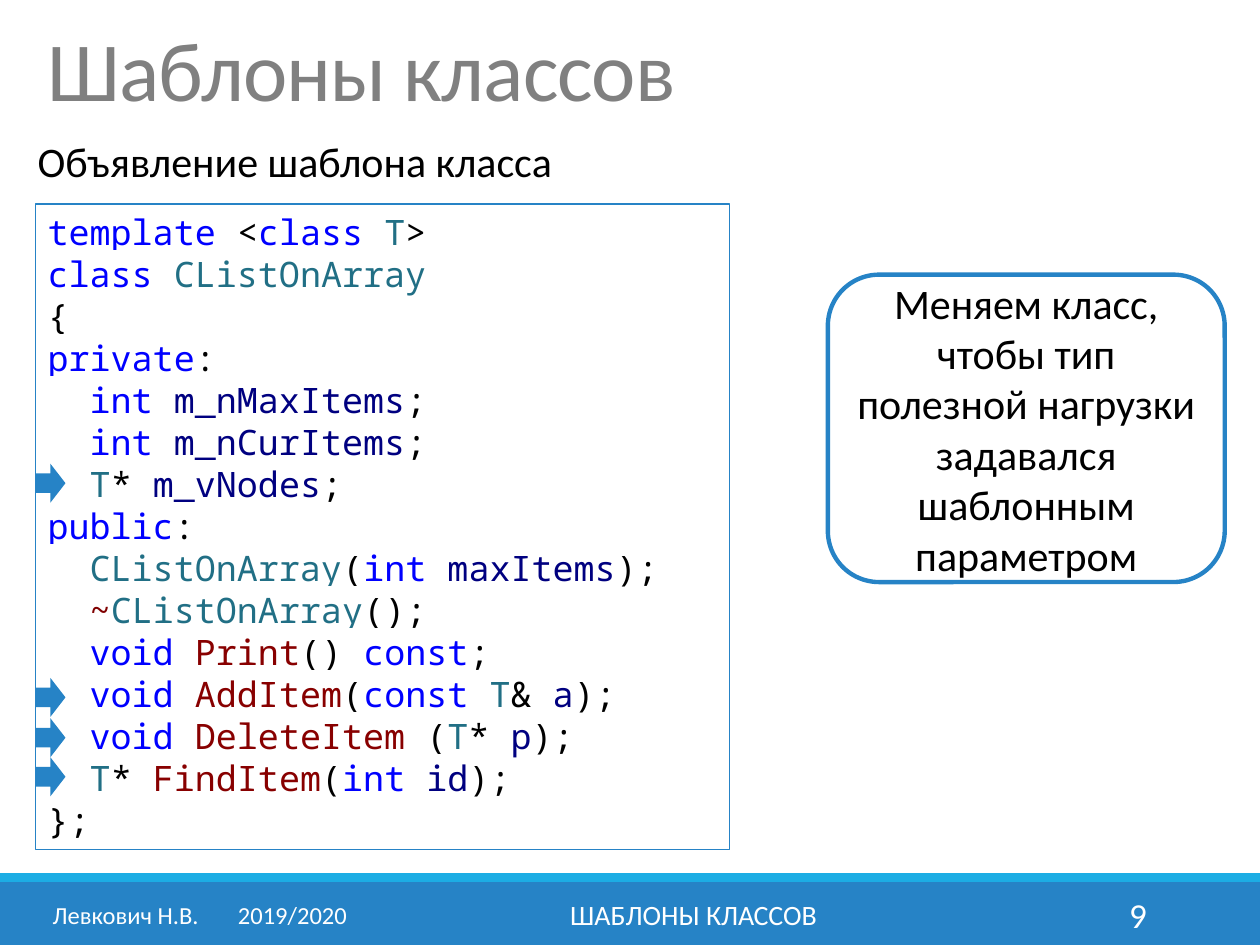
from dataclasses import dataclass
from typing import NamedTuple

from lxml.etree import SubElement
from pptx import Presentation
from pptx.dml.color import RGBColor
from pptx.enum.shapes import MSO_SHAPE
from pptx.enum.text import MSO_ANCHOR, PP_ALIGN
from pptx.oxml.ns import qn
from pptx.util import Emu, Inches, Pt


@dataclass(frozen=True)
class Theme:
    sans: str = "Calibri"
    mono: str = "Noto Sans Mono"
    blue: str = "2683C6"
    cyan: str = "1CADE4"
    gray: str = "808080"
    white: str = "FFFFFF"
    black: str = "000000"
    key: str = "0000FF"
    kind: str = "216F85"
    name: str = "000080"
    func: str = "880000"
    tilde: str = "800000"
    title: int = 48
    body: int = 24
    code: int = 20
    page: int = 20
    foot: int = 16
    note: int = 14


class Box(NamedTuple):
    x: float
    y: float
    w: float
    h: float


class Label(NamedTuple):
    box: Box
    text: str
    size: int
    color: str
    align: PP_ALIGN = PP_ALIGN.LEFT
    anchor: MSO_ANCHOR = MSO_ANCHOR.TOP
    lead: float = 1.0
    track: int = 0
    tab: float = 0


look = Theme()
WIDE, HIGH = Inches(10), Inches(7.5)
COLS, ROWS = 100, 75
K, C, N, F, P = look.key, look.kind, look.name, look.func, look.black

CODE = [
    [(K, "template "), (P, "<"), (K, "class "), (C, "T"), (P, ">")],
    [(K, "class"), (P, " "), (C, "CListOnArray")],
    [(P, "{")],
    [(K, "private"), (P, ":")],
    [(K, "  int"), (P, " "), (N, "m_nMaxItems"), (P, ";")],
    [(K, "  int"), (P, " "), (N, "m_nCurItems"), (P, ";")],
    [(C, "  T"), (P, "* "), (N, "m_vNodes"), (P, ";")],
    [(K, "public"), (P, ":")],
    [(C, "  CListOnArray"), (P, "("), (K, "int"), (P, " "), (N, "maxItems"), (P, ");")],
    [(look.tilde, "  ~"), (C, "CListOnArray"), (P, "();")],
    [(K, "  void"), (P, " "), (F, "Print"), (P, "() "), (K, "const"), (P, ";")],
    [(K, "  void"), (P, " "), (F, "AddItem"), (P, "("), (K, "const"), (P, " "),
     (C, "T"), (P, "& "), (N, "a"), (P, ");")],
    [(K, "  void"), (P, " "), (F, "DeleteItem "), (P, "("), (C, "T"), (P, "* "),
     (N, "p"), (P, ");")],
    [(C, "  T"), (P, "* "), (F, "FindItem"), (P, "("), (K, "int"), (P, " "),
     (N, "id"), (P, ");")],
    [(P, "};")],
]

BAND = 70.6
LEFT = 2.8
MID = MSO_ANCHOR.MIDDLE
LABELS = [
    Label(Box(LEFT, 2.1, 94.5, 7.9), "Шаблоны классов", look.title, look.gray,
          lead=0.85, track=-50),
    Label(Box(2, 10.7, 95.3, 7.9), "Объявление шаблона класса", look.body, P, lead=0.9),
    Label(Box(3.2, BAND, 26.1, 4), "Левкович Н.В. \t2019/2020", look.note, look.white,
          anchor=MID, tab=14.7),
    Label(Box(30.2, BAND, 49.7, 4), "ШАБЛОНЫ КЛАССОВ", look.foot, look.white,
          PP_ALIGN.CENTER, MID),
    Label(Box(81.2, BAND, 10.8, 4), "9", look.page, look.white, PP_ALIGN.RIGHT, MID),
]
ARROWS = [36.8, 53.8, 57, 60.1]


def place(box: Box) -> list[Emu]:
    return [Emu(round(box.x * WIDE / COLS)), Emu(round(box.y * HIGH / ROWS)),
            Emu(round(box.w * WIDE / COLS)), Emu(round(box.h * HIGH / ROWS))]


def shape(slide, form: MSO_SHAPE, box: Box, fill: str = "", line: float = 0):
    item = slide.shapes.add_shape(form, *place(box))
    item.shadow.inherit = False
    if fill:
        item.fill.solid()
        item.fill.fore_color.rgb = RGBColor.from_string(fill)
    else:
        item.fill.background()
    if line:
        item.line.color.rgb = RGBColor.from_string(look.blue)
        item.line.width = Pt(line)
    else:
        item.line.fill.background()
    return item


def write(para, text: str, size: int, color: str, face: str = look.sans,
          mark: str = "", track: int = 0) -> None:
    run = para.add_run()
    run.text = text
    run.font.size = Pt(size)
    run.font.color.rgb = RGBColor.from_string(color)
    props = run.font._element
    if mark:
        light = SubElement(props, qn("a:highlight"))
        SubElement(light, qn("a:srgbClr"), val=mark)
    if track:
        props.set("spc", str(track))
    run.font.name = face


def label(slide, item: Label) -> None:
    frame = slide.shapes.add_textbox(*place(item.box)).text_frame
    frame.word_wrap = True
    frame.vertical_anchor = item.anchor
    para = frame.paragraphs[0]
    if item.tab:
        stops = SubElement(para._p.get_or_add_pPr(), qn("a:tabLst"))
        SubElement(stops, qn("a:tab"), pos=str(round(item.tab * WIDE / COLS)), algn="l")
    para.alignment = item.align
    para.line_spacing = item.lead
    write(para, item.text, item.size, item.color, track=item.track)


def listing(slide, box: Box) -> None:
    frame = shape(slide, MSO_SHAPE.RECTANGLE, box, line=0.75).text_frame
    frame.word_wrap = True
    frame.vertical_anchor = MSO_ANCHOR.TOP
    for row, parts in enumerate(CODE):
        para = frame.add_paragraph() if row else frame.paragraphs[0]
        para.alignment = PP_ALIGN.LEFT
        for color, text in parts:
            write(para, text, look.code, color, look.mono, look.white)


def callout(slide, box: Box, text: str) -> None:
    frame = shape(slide, MSO_SHAPE.ROUNDED_RECTANGLE, box, line=2.5).text_frame
    frame.word_wrap = True
    frame.vertical_anchor = MID
    para = frame.paragraphs[0]
    para.alignment = PP_ALIGN.CENTER
    write(para, text, look.body, P)


def main() -> None:
    deck = Presentation()
    deck.slide_width, deck.slide_height = WIDE, HIGH
    slide = deck.slides.add_slide(deck.slide_layouts[6])
    shape(slide, MSO_SHAPE.RECTANGLE, Box(0, 70, COLS, 5), look.blue)
    shape(slide, MSO_SHAPE.RECTANGLE, Box(0, 69.3, COLS, 0.7), look.cyan)
    listing(slide, Box(LEFT, 16.2, 55.1, 51.2))
    callout(slide, Box(65.7, 21.8, 31.5, 24.4),
            "Меняем класс, чтобы тип полезной нагрузки задавался шаблонным параметром")
    for top in ARROWS:
        shape(slide, MSO_SHAPE.RIGHT_ARROW, Box(LEFT, top, 2.4, 3.1), look.blue)
    for item in LABELS:
        label(slide, item)
    deck.save("out.pptx")


if __name__ == "__main__":
    main()
